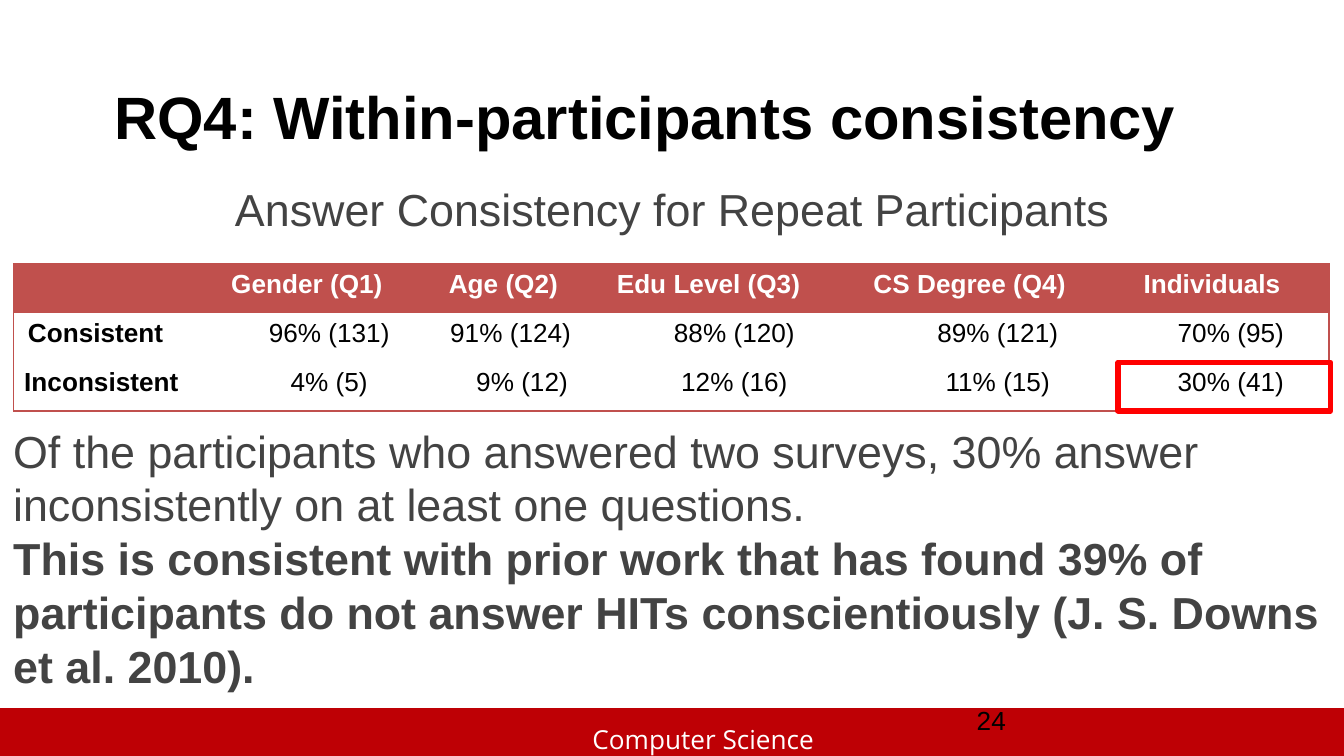
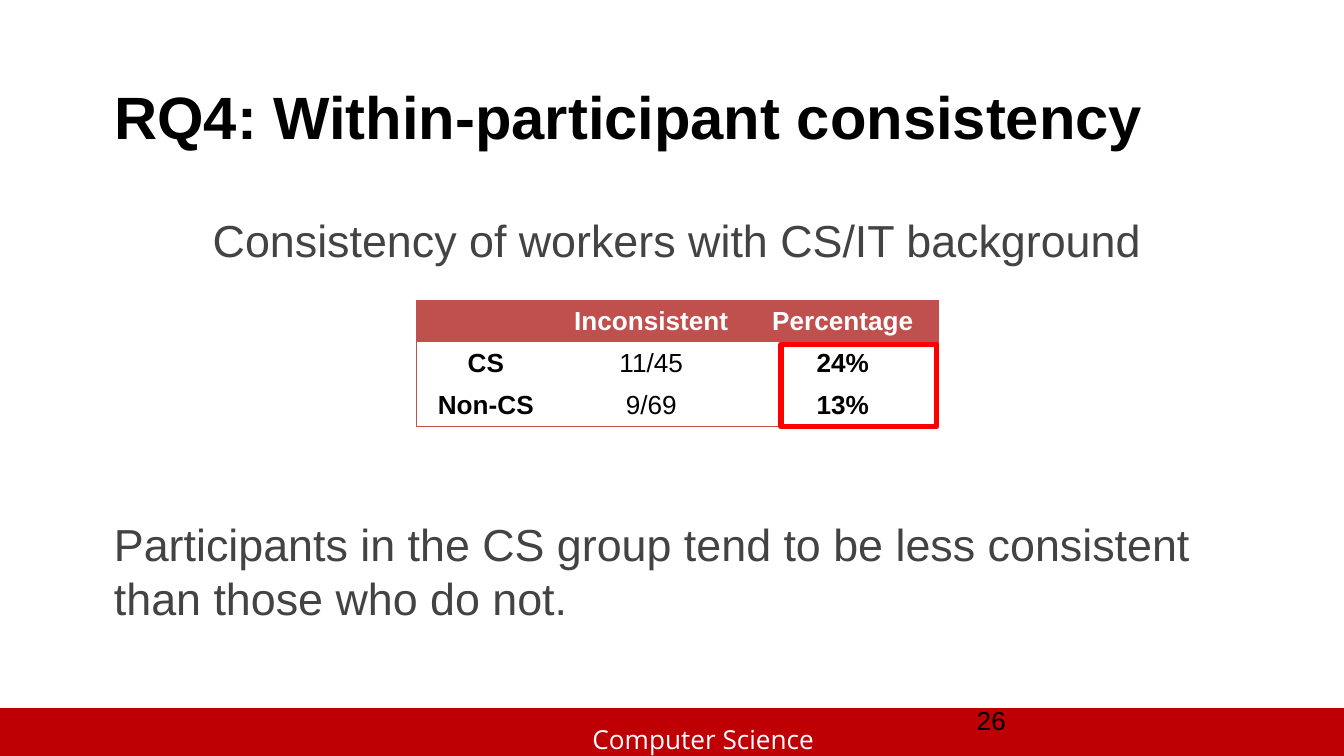
import pptx
import pptx.util
import pptx.dml.color
import pptx.enum.shapes
import pptx.enum.text
import pptx.oxml

Pt = pptx.util.Pt
RGBColor = pptx.dml.color.RGBColor
ALIGN = pptx.enum.text.PP_ALIGN
ANCHOR = pptx.enum.text.MSO_ANCHOR
RECT = pptx.enum.shapes.MSO_SHAPE.RECTANGLE

BLACK = RGBColor(0x00, 0x00, 0x00)
WHITE = RGBColor(0xFF, 0xFF, 0xFF)
GREY = RGBColor(0x43, 0x43, 0x43)
BAND = RGBColor(0xBE, 0x00, 0x05)
BRICK = RGBColor(0xC0, 0x50, 0x4D)
RED = RGBColor(0xFF, 0x00, 0x00)
LEFT, MID, JUST = ALIGN.LEFT, ALIGN.CENTER, ALIGN.JUSTIFY
LINE = 28.8
SKIP = LINE + 4.8


def write(para, text, size=14, color=BLACK, bold=False, font="Arial",
          align=LEFT, gap=0, pitch=1.0):
    para.alignment = align
    para.space_before = Pt(gap)
    para.line_spacing = pitch
    run = para.add_run()
    run.text = text
    run.font.name = font
    run.font.size = Pt(size)
    run.font.bold = bold
    run.font.color.rgb = color


def frame(shape, place, anchor=ANCHOR.TOP):
    shape.left, shape.top, shape.width, shape.height = map(Pt, place)
    text = shape.text_frame
    text.word_wrap = True
    text.auto_size = pptx.enum.text.MSO_AUTO_SIZE.NONE
    text.vertical_anchor = anchor
    text.margin_left = text.margin_right = Pt(7.2)
    text.margin_top = text.margin_bottom = Pt(3.6)
    return text


pages = [
    {
        "title": "RQ4: Within-participants consistency",
        "number": "24",
        "body": (0, 93.6, 720, 283),
        "head": "Answer Consistency for Repeat Participants",
        "skips": 3,
        "notes": [
            ("Of the participants who answered two surveys, 30% answer "
             "inconsistently on at least one questions.", False),
            ("This is consistent with prior work that has found 39% of "
             "participants do not answer HITs conscientiously "
             "(J. S. Downs et al. 2010).", True),
        ],
        "spot": (7.2, 141.3),
        "cols": [110.9, 116.6, 90, 137.5, 144.7, 105.1],
        "row": 26.3,
        "cells": [
            ["", "Gender (Q1)", "Age (Q2)", "Edu Level (Q3)",
             "CS Degree (Q4)", "Individuals"],
            ["Consistent", "96% (131)", "91% (124)", "88% (120)",
             "89% (121)", "70% (95)"],
            ["Inconsistent", "4% (5)", "9% (12)", "12% (16)",
             "11% (15)", "30% (41)"],
        ],
        "aligns": [
            [LEFT, LEFT, JUST, LEFT, LEFT, LEFT],
            [LEFT, MID, LEFT, MID, MID, MID],
            [LEFT, MID, MID, MID, MID, MID],
        ],
        "shifts": {(1, 0): 2, (1, 2): 0.7},
        "strong": {0},
        "mark": (599, 194.2, 113.8, 25.9),
    },
    {
        "title": "RQ4: Within-participant consistency",
        "number": "26",
        "body": (54, 110.2, 617, 256.3),
        "head": "Consistency of workers with CS/IT background",
        "skips": 4,
        "notes": [
            ("Participants in the CS group tend to be less consistent "
             "than those who do not.", False),
        ],
        "spot": (223.2, 161),
        "cols": [74.2, 103, 102.2],
        "row": 22.5,
        "cells": [
            ["", "Inconsistent", "Percentage"],
            ["CS", "11/45", "24%"],
            ["Non-CS", "9/69", "13%"],
        ],
        "aligns": [[MID] * 3] * 3,
        "shifts": {},
        "strong": {0, 2},
        "mark": (418.3, 184.5, 83.5, 43.9),
    },
]

deck = pptx.Presentation()
deck.slide_width = Pt(720)
deck.slide_height = Pt(405)
layout = deck.slide_layouts[5]

for page in pages:
    slide = deck.slides.add_slide(layout)
    shapes = slide.shapes

    if page is pages[0]:
        band = shapes.add_shape(RECT, Pt(0), Pt(379.4), Pt(720), Pt(27))
        band.shadow.inherit = False
        band.fill.solid()
        band.fill.fore_color.rgb = BAND
        band.line.fill.background()
        label = shapes.add_textbox(0, 0, 0, 0)
        text = frame(label, (310.3, 383.8, 139, 18))
        write(text.paragraphs[0], "Computer Science", color=WHITE, font="Open Sans")
        for part in (band, label):
            layout.shapes.element.append(part.element)

    text = frame(shapes.title, (54, 30.2, 612, 63.4), ANCHOR.MIDDLE)
    write(text.paragraphs[0], page["title"], size=32, bold=True)

    text = frame(shapes.add_textbox(0, 0, 0, 0), page["body"])
    write(text.paragraphs[0], page["head"], size=24, color=GREY,
          align=MID, pitch=Pt(LINE))
    gap = page["skips"] * SKIP
    for note, bold in page["notes"]:
        write(text.add_paragraph(), note, size=24, color=GREY, bold=bold,
              gap=gap, pitch=Pt(LINE))
        gap = 0

    cells, cols = page["cells"], page["cols"]
    left, top = page["spot"]
    table = shapes.add_table(
        len(cells), len(cols), Pt(left), Pt(top),
        Pt(sum(cols)), Pt(page["row"] * len(cells))).table
    table.first_row = table.horz_banding = False
    for col, width in zip(table.columns, cols):
        col.width = Pt(width)
    for r, words in enumerate(cells):
        table.rows[r].height = Pt(page["row"])
        for c, word in enumerate(words):
            cell = table.cell(r, c)
            cell.margin_left = Pt(5.8 + page["shifts"].get((r, c), 0))
            cell.margin_right = Pt(5.8)
            cell.margin_top = Pt(2.2)
            cell.margin_bottom = 0
            write(cell.text_frame.paragraphs[0], word,
                  color=BLACK if r else WHITE,
                  bold=r == 0 or c in page["strong"],
                  align=page["aligns"][r][c], pitch=1.07)
            edges = {"lnL": c == 0, "lnR": c == len(cols) - 1,
                     "lnT": r == 0, "lnB": r == len(cells) - 1}
            props = cell._tc.get_or_add_tcPr()
            for tag, shown in edges.items():
                fill = (f'<a:solidFill><a:srgbClr val="{BRICK}"/></a:solidFill>'
                        if shown else "<a:noFill/>")
                props.append(pptx.oxml.parse_xml(
                    f'<a:{tag} xmlns:a="http://schemas.openxmlformats.org/'
                    f'drawingml/2006/main" w="9525">{fill}</a:{tag}>'))
            if r == 0:
                cell.fill.solid()
                cell.fill.fore_color.rgb = BRICK
            else:
                cell.fill.background()

    mark = shapes.add_shape(RECT, *map(Pt, page["mark"]))
    mark.shadow.inherit = False
    mark.fill.background()
    mark.line.color.rgb = RED
    mark.line.width = Pt(3)

    text = frame(shapes.add_textbox(0, 0, 0, 0),
                 (516.2, 375.1, 167.8, 21.6), ANCHOR.MIDDLE)
    write(text.paragraphs[0], page["number"])

deck.save("out.pptx")
